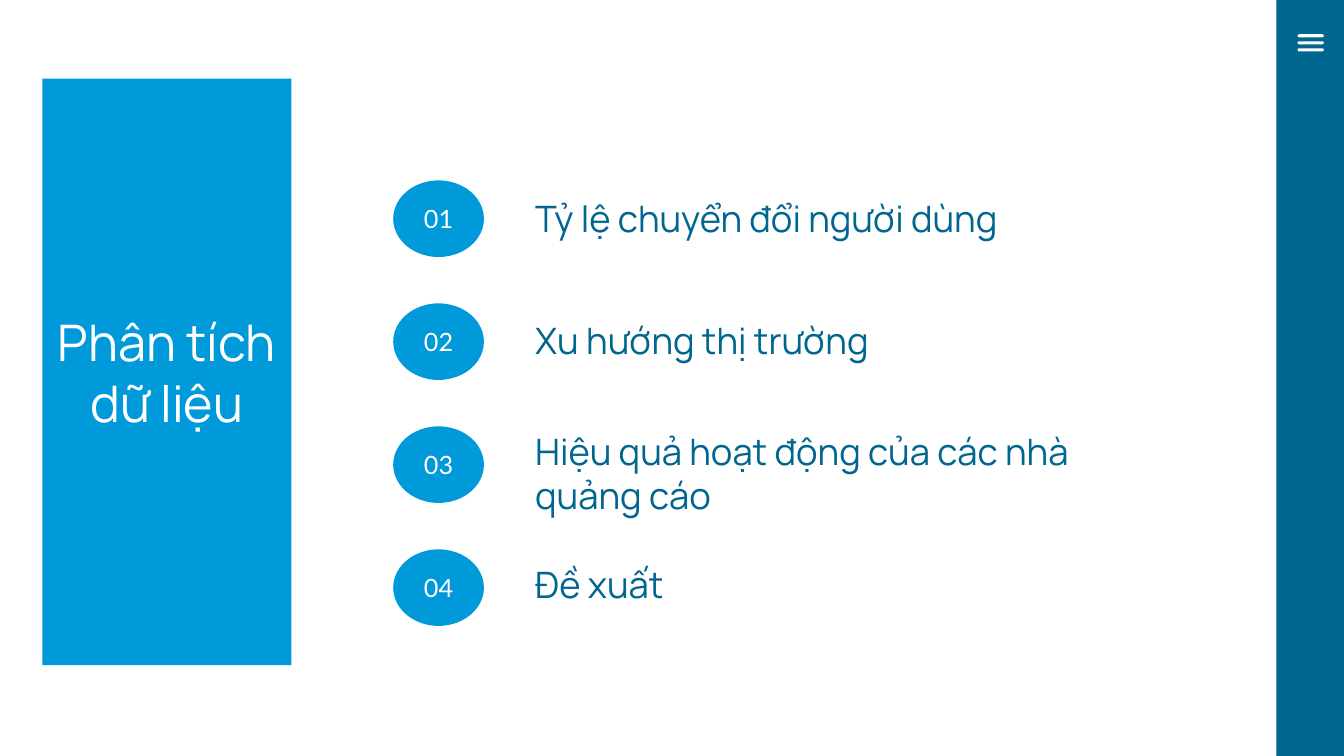
"""Build the agenda slide for the data analysis section."""
from dataclasses import dataclass

from pptx import Presentation
from pptx.dml.color import RGBColor
from pptx.enum import shapes, text
from pptx.shapes.autoshape import Shape
from pptx.slide import Slide
from pptx.util import Inches, Pt


@dataclass(frozen=True)
class Theme:
    """Colours, fonts and type sizes of the slide."""
    blue: RGBColor = RGBColor(0x00, 0x99, 0xD9)
    navy: RGBColor = RGBColor(0x00, 0x66, 0x90)
    white: RGBColor = RGBColor(0xFF, 0xFF, 0xFF)
    text_font: str = "Manrope"
    number_font: str = "Lato"
    title_size: int = 36
    topic_size: int = 26
    number_size: int = 18


@dataclass(frozen=True)
class Box:
    """A position and size in inches."""
    left: float
    top: float
    width: float
    height: float

    def lengths(self) -> tuple[Inches, Inches, Inches, Inches]:
        """Return the four sides as slide lengths."""
        return (Inches(self.left), Inches(self.top),
                Inches(self.width), Inches(self.height))


@dataclass(frozen=True)
class Topic:
    """An agenda topic with the place of its wording."""
    wording: str
    top: float
    height: float = 0.54


THEME = Theme()
TOPICS = (
    Topic("Tỷ lệ chuyển đổi người dùng", 1.9),
    Topic("Xu hướng thị trường", 3.11),
    Topic("Hiệu quả hoạt động của các nhà quảng cáo", 4.21, 0.98),
    Topic("Đề xuất", 5.53),
)
FIRST_NUMBER_TOP, NUMBER_STEP = 1.79, 1.22
FIRST_BAR_TOP, BAR_STEP = 0.34, 0.07


def add_filled(slide: Slide, preset: shapes.MSO_SHAPE, box: Box,
               colour: RGBColor) -> Shape:
    """Add a flat preset shape without an outline."""
    flat = slide.shapes.add_shape(preset, *box.lengths())
    flat.shadow.inherit = False
    flat.fill.solid()
    flat.fill.fore_color.rgb = colour
    flat.line.fill.background()
    return flat


def write(holder: Shape, wording: str, font: str, size: int,
          colour: RGBColor, align: text.PP_ALIGN, anchor: text.MSO_ANCHOR) -> None:
    """Put one formatted paragraph into a shape."""
    frame = holder.text_frame
    frame.text = wording
    frame.word_wrap = True
    frame.vertical_anchor = anchor
    paragraph = frame.paragraphs[0]
    paragraph.alignment = align
    run_font = paragraph.runs[0].font
    run_font.name = font
    run_font.size = Pt(size)
    run_font.color.rgb = colour


def draw_menu_band(slide: Slide) -> None:
    """Draw the right-hand band with its three menu bars."""
    add_filled(slide, shapes.MSO_SHAPE.RECTANGLE, Box(12.66, 0, 0.67, 7.5), THEME.navy)
    for index in range(3):
        bar_box = Box(12.87, FIRST_BAR_TOP + index * BAR_STEP, 0.26, 0.03)
        bar = add_filled(slide, shapes.MSO_SHAPE.ROUNDED_RECTANGLE, bar_box, THEME.white)
        bar.adjustments[0] = 0.5


def draw_title(slide: Slide) -> None:
    """Turn the title placeholder into the blue panel."""
    title = slide.shapes.title
    title.left, title.top, title.width, title.height = Box(0.42, 0.78, 2.47, 5.82).lengths()
    title.fill.solid()
    title.fill.fore_color.rgb = THEME.blue
    write(title, "Phân tích dữ liệu", THEME.text_font, THEME.title_size,
          THEME.white, text.PP_ALIGN.CENTER, text.MSO_ANCHOR.MIDDLE)
    title.text_frame.auto_size = text.MSO_AUTO_SIZE.NONE


def draw_topic(slide: Slide, index: int, topic: Topic) -> None:
    """Draw one numbered agenda topic."""
    wording = slide.shapes.add_textbox(*Box(5.21, topic.top, 5.93, topic.height).lengths())
    write(wording, topic.wording, THEME.text_font, THEME.topic_size,
          THEME.navy, text.PP_ALIGN.LEFT, text.MSO_ANCHOR.TOP)
    wording.text_frame.auto_size = text.MSO_AUTO_SIZE.SHAPE_TO_FIT_TEXT

    number_box = Box(3.9, FIRST_NUMBER_TOP + index * NUMBER_STEP, 0.9, 0.76)
    number = add_filled(slide, shapes.MSO_SHAPE.FLOWCHART_CONNECTOR, number_box, THEME.blue)
    write(number, f"{index + 1:02}", THEME.number_font, THEME.number_size,
          THEME.white, text.PP_ALIGN.CENTER, text.MSO_ANCHOR.MIDDLE)


def main() -> None:
    """Build and save the slide."""
    deck = Presentation()
    deck.slide_width, deck.slide_height = Inches(13.33), Inches(7.5)
    slide = deck.slides.add_slide(deck.slide_layouts.get_by_name("Title Only"))
    draw_menu_band(slide)
    draw_title(slide)
    for index, topic in enumerate(TOPICS):
        draw_topic(slide, index, topic)
    deck.save("out.pptx")


if __name__ == "__main__":
    main()
